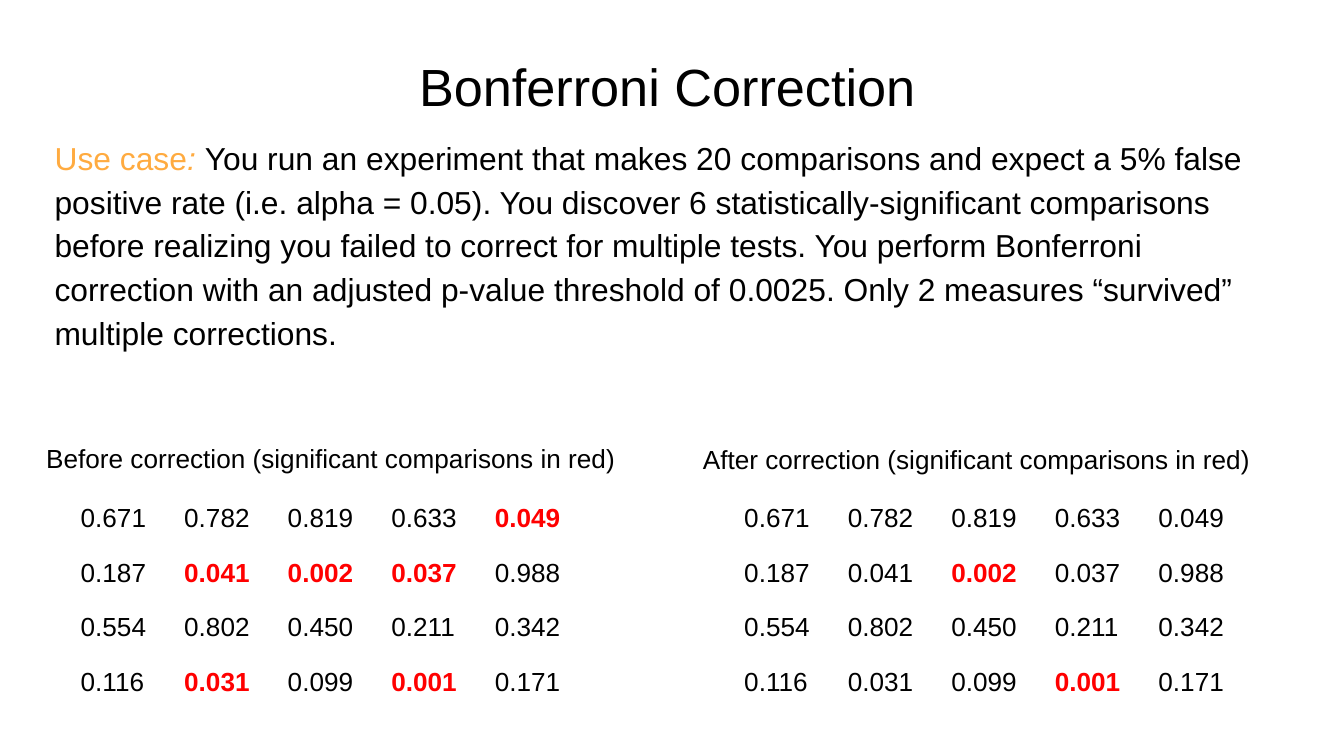
from dataclasses import dataclass

from pptx import Presentation
from pptx.dml.color import RGBColor
from pptx.enum.text import MSO_ANCHOR, MSO_AUTO_SIZE, PP_ALIGN
from pptx.util import Pt

LEFT, CENTER = PP_ALIGN.LEFT, PP_ALIGN.CENTER
TOP = MSO_ANCHOR.TOP
NO_FIT = MSO_AUTO_SIZE.NONE

EMU_PER_PX = 9525
SLIDE_WIDTH, SLIDE_HEIGHT = 960, 540
INSET = 10


def px(length):
    return length * EMU_PER_PX


@dataclass(frozen=True)
class Theme:
    font: str = "Arial"
    text: str = "000000"
    accent: str = "FFAB40"
    significant: str = "FF0000"
    title_size: int = 28
    body_size: int = 17
    small_size: int = 14


class SlideBuilder:
    def __init__(self, slide, theme):
        self.slide = slide
        self.theme = theme

    def format_run(self, run, size, color, bold=False, italic=False):
        font = run.font
        font.name = self.theme.font
        font.size = Pt(size)
        font.bold = bold
        font.italic = italic
        font.color.rgb = RGBColor.from_string(color)

    def text_box(self, left, top, width, height, runs, size,
                 align=LEFT, line_spacing=None, wrap=True):
        """Add one paragraph; runs holds (text, color, italic) items."""
        shape = self.slide.shapes.add_textbox(px(left), px(top), px(width), px(height))
        frame = shape.text_frame
        frame.word_wrap = wrap
        frame.auto_size = NO_FIT
        frame.vertical_anchor = TOP
        frame.margin_left = frame.margin_right = px(INSET)
        frame.margin_top = frame.margin_bottom = px(INSET if wrap else INSET // 2)
        paragraph = frame.paragraphs[0]
        paragraph.alignment = align
        paragraph.line_spacing = line_spacing
        for text, color, italic in runs:
            run = paragraph.add_run()
            run.text = text
            self.format_run(run, size, color, italic=italic)

    def value_table(self, left, top, column_width, row_height, values, threshold):
        """Add a grid of p-values, with those below the threshold in red."""
        rows, columns = len(values), len(values[0])
        table = self.slide.shapes.add_table(
            rows, columns, px(left), px(top),
            px(column_width * columns), px(row_height * rows)).table
        table.first_row = table.horz_banding = False
        for column in table.columns:
            column.width = px(column_width)
        for row, row_values in zip(table.rows, values):
            row.height = px(row_height)
            for cell, value in zip(row.cells, row_values):
                significant = float(value) < threshold
                color = self.theme.significant if significant else self.theme.text
                cell.fill.background()
                cell.text_frame.text = value
                run = cell.text_frame.paragraphs[0].runs[0]
                self.format_run(run, self.theme.small_size, color, bold=significant)


P_VALUES = [
    ["0.671", "0.782", "0.819", "0.633", "0.049"],
    ["0.187", "0.041", "0.002", "0.037", "0.988"],
    ["0.554", "0.802", "0.450", "0.211", "0.342"],
    ["0.116", "0.031", "0.099", "0.001", "0.171"],
]
USE_CASE = (
    "You run an experiment that makes 20 comparisons and expect a 5% false "
    "positive rate (i.e. alpha = 0.05). You discover 6 statistically-significant "
    "comparisons before realizing you failed to correct for multiple tests. You "
    "perform Bonferroni correction with an adjusted p-value threshold of 0.0025. "
    "Only 2 measures “survived” multiple corrections."
)
# Caption word, caption left, top and width, table left, threshold
PANELS = [
    ("Before", 23, 311, 427, 48, 0.05),
    ("After", 492, 312, 412, 522, 0.0025),
]


def main():
    presentation = Presentation()
    presentation.slide_width = px(SLIDE_WIDTH)
    presentation.slide_height = px(SLIDE_HEIGHT)
    slide = presentation.slides.add_slide(presentation.slide_layouts[6])
    theme = Theme()
    builder = SlideBuilder(slide, theme)

    # Title
    builder.text_box(29, 29, 895, 45, [("Bonferroni Correction", theme.text, False)],
                     theme.title_size, align=CENTER)

    # Use case
    builder.text_box(29, 85, 895, 186,
                     [("Use case", theme.accent, False),
                      (": ", theme.accent, True),
                      (USE_CASE, theme.text, False)],
                     theme.body_size, line_spacing=1.15)

    # Captioned tables before and after correction
    for word, left, top, width, table_left, threshold in PANELS:
        caption = f"{word} correction (significant comparisons in red)"
        builder.value_table(table_left, 355, 74, 39, P_VALUES, threshold)
        builder.text_box(left, top, width, 33, [(caption, theme.text, False)],
                         theme.small_size, wrap=False)

    presentation.save("out.pptx")


if __name__ == "__main__":
    main()
